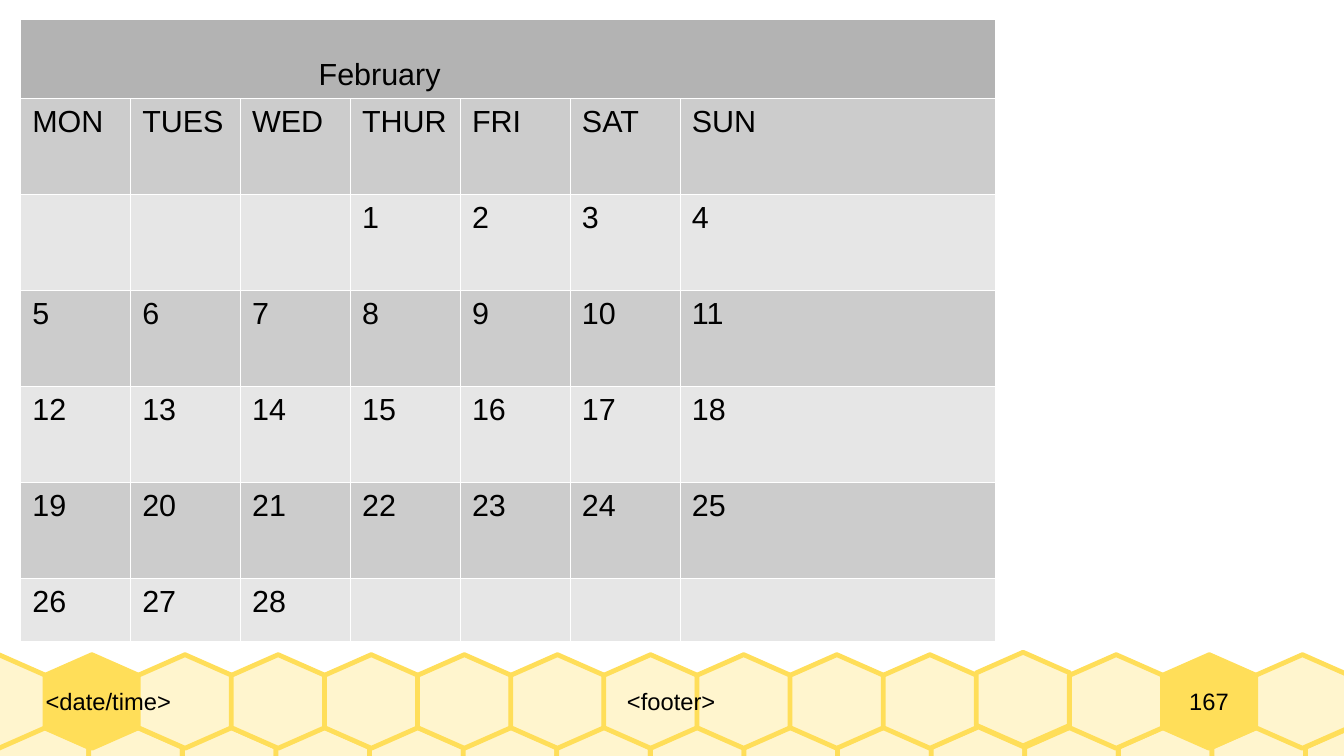
import dataclasses

import lxml.etree
import pptx
import pptx.dml.color
import pptx.enum.text
import pptx.oxml.ns
import pptx.util

Cm = pptx.util.Cm
Align = pptx.enum.text.PP_ALIGN
Anchor = pptx.enum.text.MSO_ANCHOR


@dataclasses.dataclass(frozen=True)
class Theme:
    font: str = "Arial"
    ink: str = "000000"
    honey: str = "FFDE59"
    cream: str = "FFF5CE"
    border: str = "FFFFFF"
    title_fill: str = "B3B3B3"
    dark_row: str = "CCCCCC"
    light_row: str = "E6E6E6"
    table_size: int = 18
    footer_size: int = 14
    outline: float = 2.83
    hairline: float = 0.06


def color(code):
    return pptx.dml.color.RGBColor.from_string(code)


def write(frame, text, size, ink, font, align=Align.LEFT):
    para = frame.paragraphs[0]
    para.alignment = align
    span = para.add_run()
    span.text = text
    span.font.size = pptx.util.Pt(size)
    span.font.name = font
    span.font.color.rgb = color(ink)


class Painter:
    """Draws styled elements on the current slide."""

    def __init__(self, page, theme):
        self.page = page
        self.theme = theme

    def hexagon(self, left, top, fill):
        side, shoulder = 1.95, 0.43
        middle, right = left + side / 2, left + side
        upper, lower = top + shoulder, top + side - shoulder
        points = [(middle, top), (left, upper), (left, lower),
                  (middle, top + side), (right, lower), (right, upper)]
        corners = [(Cm(x), Cm(y)) for x, y in points]
        builder = self.page.shapes.build_freeform(*corners[0])
        builder.add_line_segments(corners[1:], close=True)
        cell = builder.convert_to_shape()
        cell.shadow.inherit = False
        cell.fill.solid()
        cell.fill.fore_color.rgb = color(fill)
        cell.line.color.rgb = color(self.theme.honey)
        cell.line.width = pptx.util.Pt(self.theme.outline)

    def label(self, text, left, width, align=Align.LEFT):
        box = self.page.shapes.add_textbox(Cm(left), Cm(13.64), Cm(width), Cm(1.95))
        frame = box.text_frame
        frame.word_wrap = True
        frame.vertical_anchor = Anchor.MIDDLE
        frame.margin_left = frame.margin_right = 0
        frame.margin_top = frame.margin_bottom = 0
        write(frame, text, size=self.theme.footer_size, ink=self.theme.ink,
              font=self.theme.font, align=align)

    def table_cell(self, cell, text, fill):
        properties = cell._tc.get_or_add_tcPr()
        for side in ("a:lnL", "a:lnR", "a:lnT", "a:lnB"):
            edge = lxml.etree.SubElement(properties, pptx.oxml.ns.qn(side),
                                         w=str(pptx.util.Pt(self.theme.hairline)))
            solid = lxml.etree.SubElement(edge, pptx.oxml.ns.qn("a:solidFill"))
            lxml.etree.SubElement(solid, pptx.oxml.ns.qn("a:srgbClr"), val=self.theme.border)
        cell.fill.solid()
        cell.fill.fore_color.rgb = color(fill)
        if text:
            write(cell.text_frame, text, size=self.theme.table_size,
                  ink=self.theme.ink, font=self.theme.font)

    def calendar(self, month, weekdays, first_column, days):
        dates = [""] * first_column + [str(day) for day in range(1, days + 1)]
        dates += [""] * (-len(dates) % 7)
        weeks = [dates[start:start + 7] for start in range(0, len(dates), 7)]
        rows = [[month] + [""] * 6, weekdays, *weeks]
        heights = [1.66] + [2] * (len(rows) - 2) + [1.31]
        widths = [2.29] * 6 + [3.02]
        table = self.page.shapes.add_table(
            len(rows), 7, Cm(0.42), Cm(0.39), Cm(sum(widths)), Cm(sum(heights))).table
        table.first_row = table.horz_banding = False
        for column, width in zip(table.columns, widths):
            column.width = Cm(width)
        for index, (row, height) in enumerate(zip(rows, heights)):
            table.rows[index].height = Cm(height)
            band = self.theme.dark_row if index % 2 else self.theme.light_row
            for column, text in enumerate(row):
                fill = band if index else self.theme.title_fill
                self.table_cell(table.cell(index, column), text, fill)
        title = table.cell(0, 0)
        title.merge(table.cell(0, 6))
        title.margin_left = Cm(6.22)
        title.vertical_anchor = Anchor.BOTTOM


def main():
    deck = pptx.Presentation()
    deck.slide_width, deck.slide_height = Cm(28), Cm(15.75)
    theme = Theme()
    painter = Painter(deck.slides.add_slide(deck.slide_layouts[6]), theme)

    filled, raised = (1, 13), 11
    for index in range(15):
        painter.hexagon(-0.1 + 1.95 * index, 15.14, theme.cream)
    for index in range(15):
        top = 13.59 if index == raised else 13.64
        fill = theme.honey if index in filled else theme.cream
        painter.hexagon(-1 + 1.94 * index, top, fill)

    painter.label("<date/time>", 0.95, 6.67)
    painter.label("<footer>", 7.62, 12.73, align=Align.CENTER)
    painter.label("167", 23.6, 3.18, align=Align.CENTER)
    painter.calendar("February", ["MON", "TUES", "WED", "THUR", "FRI", "SAT", "SUN"],
                     first_column=3, days=28)
    deck.save("out.pptx")


if __name__ == "__main__":
    main()
